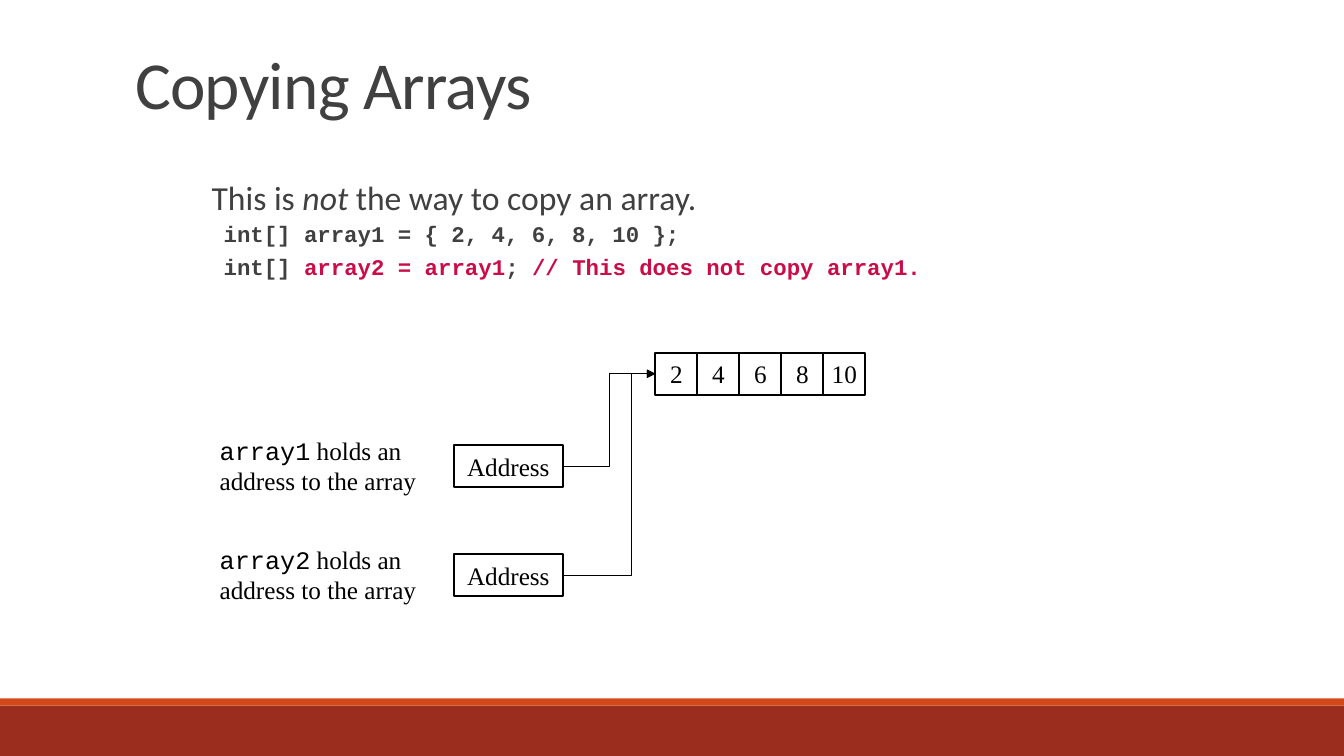
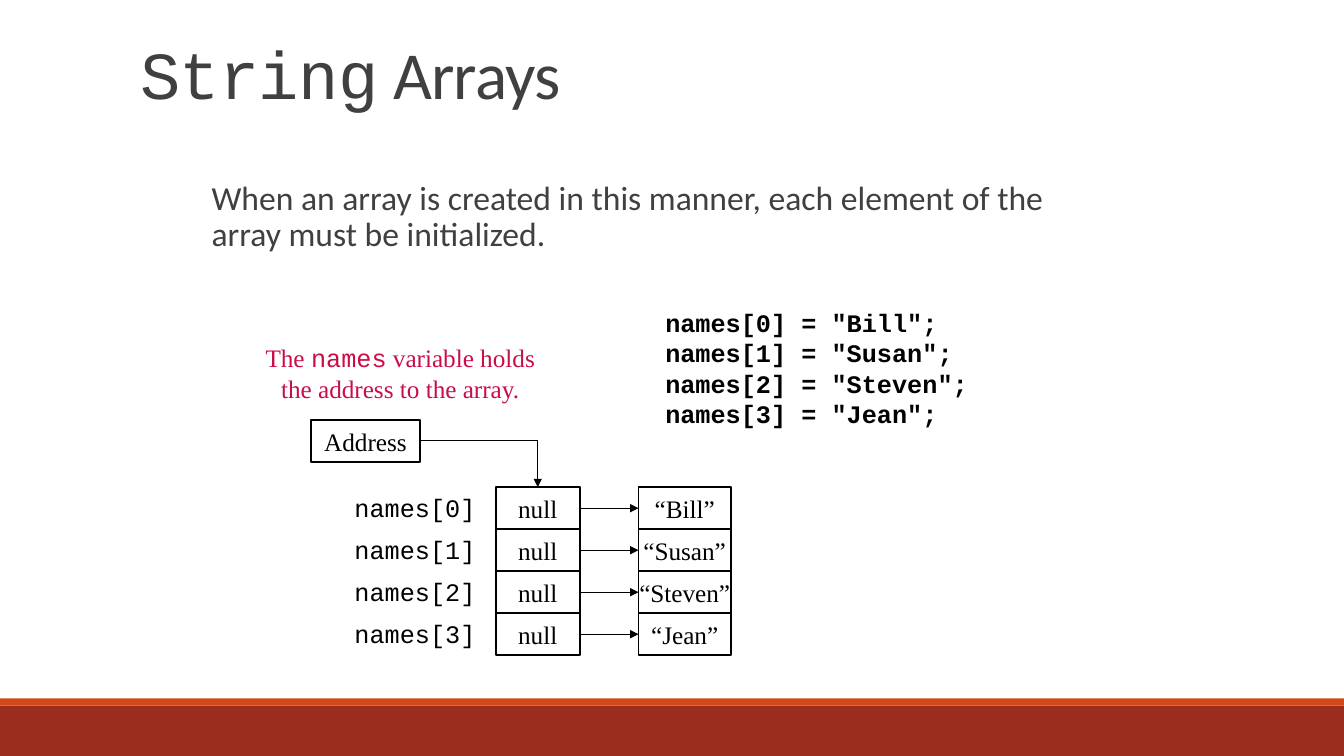
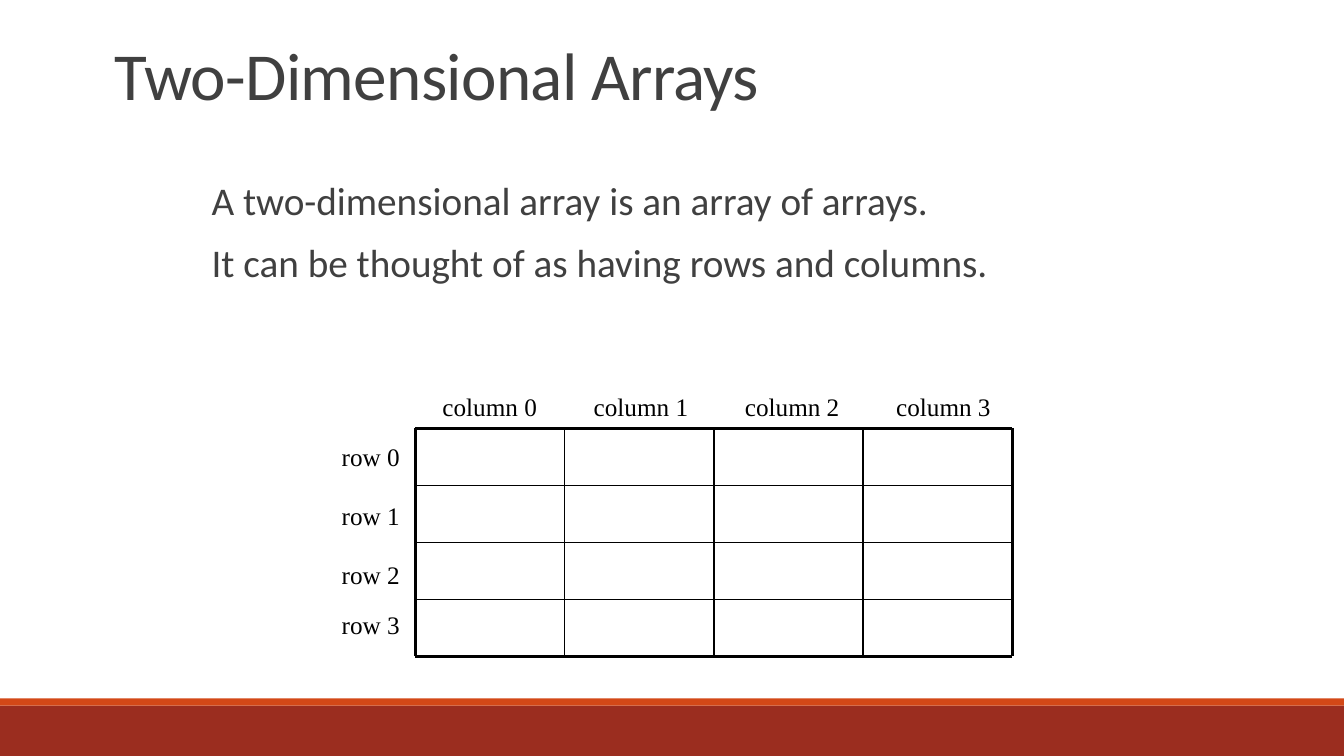
from pptx import Presentation
from pptx.dml.color import RGBColor
from pptx.enum.shapes import MSO_CONNECTOR, MSO_SHAPE
from pptx.enum.text import MSO_ANCHOR, MSO_AUTO_SIZE, PP_ALIGN
from pptx.oxml.ns import qn
from pptx.oxml.xmlchemy import OxmlElement
from pptx.util import Inches, Pt

RECT = MSO_SHAPE.RECTANGLE
LINE, ELBOW = MSO_CONNECTOR.STRAIGHT, MSO_CONNECTOR.ELBOW
LEFT, MID = PP_ALIGN.LEFT, PP_ALIGN.CENTER
TOP_SIDE, LEFT_SIDE, RIGHT_SIDE = 0, 1, 3

WHITE = RGBColor(0xFF, 0xFF, 0xFF)
BLACK = RGBColor(0x00, 0x00, 0x00)
GRAY = RGBColor(0x40, 0x40, 0x40)
PINK = RGBColor(0xCA, 0x0C, 0x48)
RUST = RGBColor(0x9B, 0x2D, 0x1F)
ORANGE = RGBColor(0xD3, 0x48, 0x17)

SANS, MONO, SERIF = "Calibri", "Courier New", "Times New Roman"
UNIT = 1 / 12
CELL = 5 * UNIT
ADDRESS = 13 * UNIT

BANDS = [(7, 0.5, RUST), (6.93, 0.07, ORANGE)]

COPY_BODY = [
    [("This is ", {}), ("not", {"italic": True}),
     (" the way to copy an array.", {})],
    [("int[] array1 = { 2, 4, 6, 8, 10 };", {})],
    [("int[] ", {}), ("array2 = array1", {"color": PINK}), ("; ", {}),
     ("// This does not copy array1.", {"color": PINK})],
]
VALUES = ["2", "4", "6", "8", "10"]
HOLDERS = [("array1", 53 * UNIT, 0.5), ("array2", 66 * UNIT, 0.74)]

NAMES_BODY = ("When an array is created in this manner, each element of the "
              "array must be initialized.")
NAMES = ["Bill", "Susan", "Steven", "Jean"]

GRID_BODY = ["A two-dimensional array is an array of arrays.",
             "It can be thought of as having rows and columns."]
ROW_TOPS = [4.33, 4.91, 5.5, 6]
COLS = 4
GRID_BOX = (4.12, 4.25, 5.92, 2.26)


def add_run(para, text, font, size, color=BLACK, bold=False, italic=False):
    run = para.add_run()
    run.text = text
    face = run.font
    face.name, face.size = font, Pt(size)
    face.bold, face.italic = bold, italic
    face.color.rgb = color


def next_para(frame, first):
    return frame.paragraphs[0] if first else frame.add_paragraph()


def add_bands(slide, layout):
    for top, high, color in BANDS:
        band = slide.shapes.add_shape(
            RECT, 0, Inches(top), Inches(13.33), Inches(high))
        band.shadow.inherit = False
        band.fill.solid()
        band.fill.fore_color.rgb = color
        band.line.fill.background()
        layout.shapes.element.append(band.element)


def add_title(slide, box, runs):
    title = slide.shapes.title
    title.left, title.top, title.width, title.height = map(Inches, box)
    frame = title.text_frame
    frame.auto_size = MSO_AUTO_SIZE.NONE
    frame.vertical_anchor = MSO_ANCHOR.BOTTOM
    para = frame.paragraphs[0]
    para.alignment, para.line_spacing = LEFT, 0.85
    for text, font in runs:
        add_run(para, text, font, 48, GRAY)
    for props in title.element.iter(qn("a:rPr")):
        props.set("spc", "-50")


def add_body(slide, high, lines):
    body = slide.shapes.add_textbox(
        Inches(2), Inches(1.75), Inches(9.07), Inches(high))
    frame = body.text_frame
    frame.word_wrap = True
    frame.margin_left = Inches(0.1)
    frame.margin_right = 0
    for i, (runs, font, size) in enumerate(lines):
        para = next_para(frame, i == 0)
        code = font == MONO
        para.line_spacing = 0.9
        para.space_before = Pt(0 if i == 0 else 2 if code else 12)
        para.space_after = Pt(4 if code else 2)
        if code:
            para._p.get_or_add_pPr().set("marL", str(Inches(0.12)))
        for text, style in runs:
            add_run(para, text, font, size,
                    **{"color": GRAY, "bold": code, **style})


def add_label(slide, box, lines, align=LEFT, wrap=False, **style):
    label = slide.shapes.add_textbox(*map(Inches, box))
    frame = label.text_frame
    frame.word_wrap = wrap
    frame.auto_size = MSO_AUTO_SIZE.SHAPE_TO_FIT_TEXT
    for i, runs in enumerate(lines):
        para = next_para(frame, i == 0)
        para.alignment = align
        for text, font in runs:
            add_run(para, text, font, 18, **style)


def add_cell(slide, left, top, wide, text):
    cell = slide.shapes.add_shape(
        RECT, Inches(left), Inches(top), Inches(wide), Inches(CELL))
    cell.shadow.inherit = False
    cell.fill.solid()
    cell.fill.fore_color.rgb = WHITE
    cell.line.color.rgb = BLACK
    cell.line.width = Pt(1.25)
    frame = cell.text_frame
    frame.word_wrap = False
    frame.vertical_anchor = MSO_ANCHOR.MIDDLE
    para = frame.paragraphs[0]
    para.alignment = MID
    add_run(para, text, SERIF, 18)
    return cell


def add_link(slide, kind, ends, points):
    link = slide.shapes.add_connector(kind, *map(Inches, ends))
    link.line.color.rgb = BLACK
    link.line.width = Pt(points)
    link.element.spPr.append(OxmlElement("a:effectLst"))
    return link


def add_arrow(slide, start, end, kind=LINE, side=LEFT_SIDE, bend=None):
    arrow = add_link(slide, kind, (0, 0, 0, 0), 0.75)
    arrow.begin_connect(start, RIGHT_SIDE)
    arrow.end_connect(end, side)
    tail = OxmlElement("a:tailEnd")
    tail.set("type", "triangle")
    props = arrow.element.spPr
    props.find(qn("a:ln")).append(tail)
    shape = props.find(qn("a:prstGeom"))
    if side == TOP_SIDE:
        shape.set("prst", "bentConnector2")
    if bend:
        guide = OxmlElement("a:gd")
        guide.set("name", "adj1")
        guide.set("fmla", f"val {round(bend * 100000)}")
        shape.find(qn("a:avLst")).append(guide)


def add_grid(slide, rows, cols):
    left, top, wide, high = GRID_BOX
    right, base = left + wide, top + high
    for i in range(rows + 1):
        y = top + high * i / rows
        add_link(slide, LINE, (left, y, right, y),
                 2.25 if i in (0, rows) else 1)
    for i in range(cols + 1):
        x = left + wide * i / cols
        add_link(slide, LINE, (x, top, x, base),
                 2.25 if i in (0, cols) else 1)


def copy_slide(slide):
    add_title(slide, (1.24, 0.45, 11, 0.82), [("Copying Arrays", SANS)])
    styles = [(SANS, 24), (MONO, 16), (MONO, 16)]
    add_body(slide, 1.53,
             [(runs, *style) for runs, style in zip(COPY_BODY, styles)])
    cells = [add_cell(slide, 6.5 + i * CELL, 3.5, CELL, text)
             for i, text in enumerate(VALUES)]
    for name, top, bend in HOLDERS:
        holder = add_cell(slide, 4.5, top, ADDRESS, "Address")
        add_label(slide, (2.08, top - 0.15, 2.15, 0.7),
                  [[(name, MONO), (" holds an", SERIF)],
                   [("address to the array", SERIF)]])
        add_arrow(slide, holder, cells[0], ELBOW, bend=bend)


def names_slide(slide):
    add_title(slide, (1.29, 0.35, 11, 0.82),
              [("String", MONO), (" Arrays", SANS)])
    add_body(slide, 1.77, [([(NAMES_BODY, {})], SANS, 24)])
    add_label(slide, (2.53, 3.35, 2.88, 0.7),
              [[("The ", SERIF), ("names", MONO), (" variable holds", SERIF)],
               [("the address to the array.", SERIF)]], MID, color=PINK)
    add_label(slide, (6.5, 3, 3.2, 1.3),
              [[(f'names[{i}] = "{name}";', MONO)]
               for i, name in enumerate(NAMES)], bold=True)
    holder = add_cell(slide, 37 * UNIT, 50 * UNIT, ADDRESS, "Address")
    for i, name in enumerate(NAMES):
        top = 58 * UNIT + i * CELL
        add_label(slide, (41 * UNIT, top, 1.52, 0.4),
                  [[(f"names[{i}]", MONO)]], wrap=True)
        slot = add_cell(slide, 59 * UNIT, top, 2 * CELL, "null")
        value = add_cell(slide, 76 * UNIT, top, 11 * UNIT, f"“{name}”")
        add_arrow(slide, slot, value)
        if i == 0:
            add_arrow(slide, holder, slot, ELBOW, TOP_SIDE)


def grid_slide(slide):
    add_title(slide, (1.04, 0.22, 11, 0.96),
              [("Two-Dimensional Arrays", SANS)])
    add_body(slide, 2.26, [([(text, {})], SANS, 28) for text in GRID_BODY])
    add_grid(slide, len(ROW_TOPS), COLS)
    for i in range(COLS):
        add_label(slide, (4.29 + 1.5 * i, 3.83, 1.14, 0.4),
                  [[(f"column {i}", SERIF)]])
    for i, top in enumerate(ROW_TOPS):
        add_label(slide, (3.29, top, 0.78, 0.4), [[(f"row {i}", SERIF)]])


def main():
    deck = Presentation()
    deck.slide_width, deck.slide_height = Inches(13.33), Inches(7.5)
    layout = deck.slide_layouts[5]
    for holder in list(layout.placeholders):
        if holder.placeholder_format.idx:
            layout.shapes.element.remove(holder.element)
    for i, build in enumerate([copy_slide, names_slide, grid_slide]):
        slide = deck.slides.add_slide(layout)
        if i == 0:
            add_bands(slide, layout)
        build(slide)
    deck.save("out.pptx")


if __name__ == "__main__":
    main()
